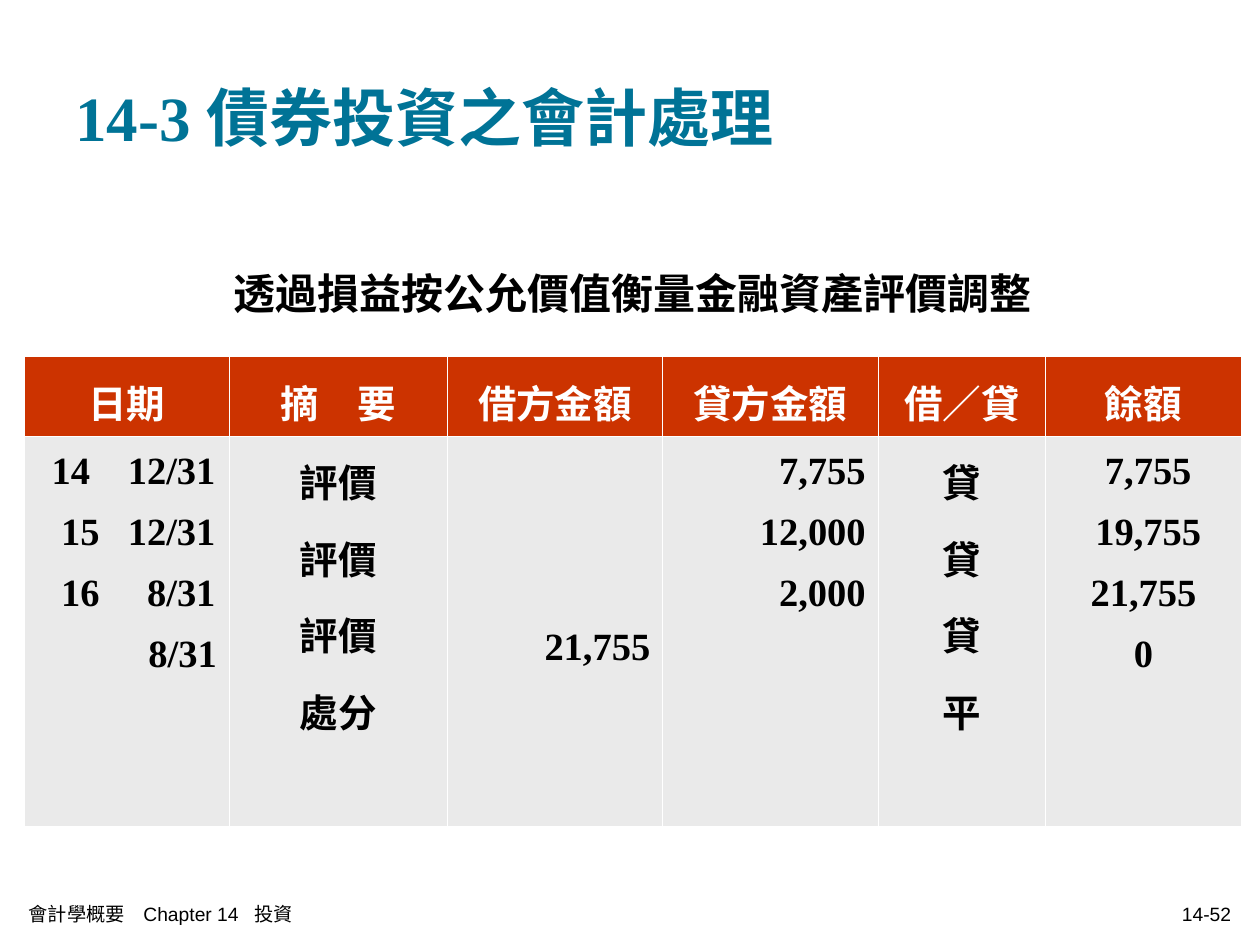
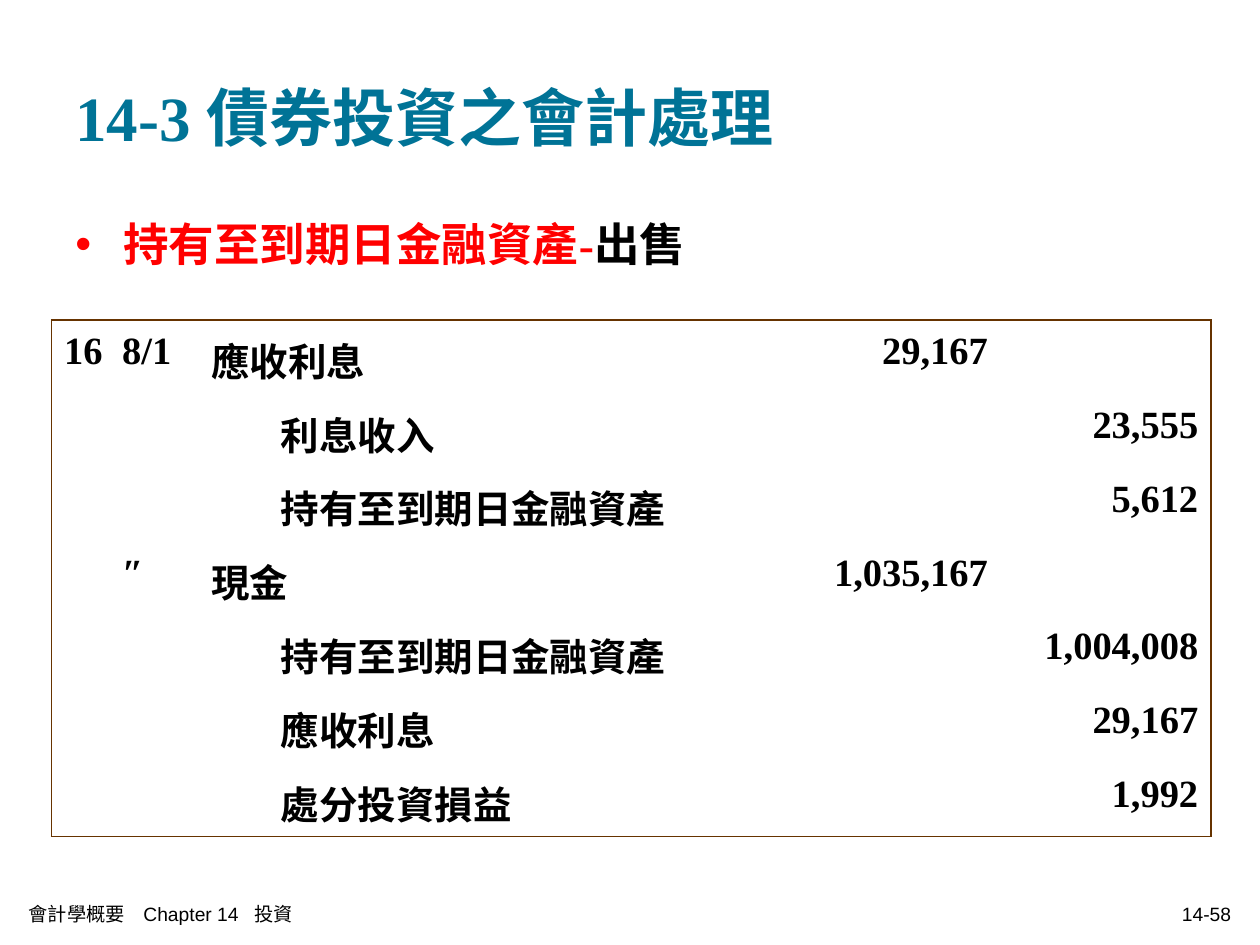
from lxml import etree
from pptx import Presentation
from pptx.dml.color import RGBColor
from pptx.enum.text import MSO_ANCHOR, PP_ALIGN
from pptx.oxml.ns import qn
from pptx.util import Inches, Pt

HUES = {
    "title": "007396", "text": "000000", "white": "FFFFFF", "red": "FF0000",
    "head": "CC3300", "body": "EAEAEA", "frame": "663300",
}
SERIF = "Times New Roman"
LEFT, MID, RIGHT = PP_ALIGN.LEFT, PP_ALIGN.CENTER, PP_ALIGN.RIGHT
CELL = {"name": SERIF, "size": Pt(22), "bold": True}
FOOT = {"name": "Arial", "size": Pt(11), "bold": False}


def apply(item, values):
    for name, value in values.items():
        setattr(item, name, value)


def add_sub(parent, tag, **attrs):
    return etree.SubElement(parent, qn(tag), {k: str(v) for k, v in attrs.items()})


def add_run(para, text, font, hue="text"):
    run = para.add_run()
    run.text = text
    apply(run.font, font)
    run.font.color.rgb = RGBColor.from_string(HUES[hue])


def set_tabs(para, stops):
    """Add tab stops given as (inches, 'l' or 'r')."""
    tabs = add_sub(para._p.get_or_add_pPr(), "a:tabLst")
    for pos, side in stops:
        add_sub(tabs, "a:tab", pos=Inches(pos), algn=side)


def set_bullet(para, mark, hue, hang):
    props = para._p.get_or_add_pPr()
    props.set("marL", str(Inches(hang)))
    props.set("indent", str(-Inches(hang)))
    add_sub(add_sub(props, "a:buClr"), "a:srgbClr", val=HUES[hue])
    add_sub(props, "a:buFont", typeface="Arial")
    add_sub(props, "a:buChar", char=mark)


def add_box(slide, left, top, width, height, anchor=MSO_ANCHOR.MIDDLE):
    """Add a wrapping text box and return its first paragraph."""
    box = slide.shapes.add_textbox(*map(Inches, (left, top, width, height)))
    apply(box.text_frame, {"word_wrap": True, "vertical_anchor": anchor})
    return box.text_frame.paragraphs[0]


def add_page(deck, number):
    """Add a blank slide with the shared title and footers."""
    slide = deck.slides.add_slide(deck.slide_layouts[6])
    title = add_box(slide, 0.5, 0.3, 9, 1.25)
    add_run(title, "14-3 債券投資之會計處理", {**CELL, "size": Pt(36)}, "title")
    book = add_box(slide, 0.13, 7.09, 5.1, 0.33)
    set_tabs(book, [(0.91, "l"), (1.79, "l")])
    add_run(book, "會計學概要\tChapter 14\t投資", FOOT)
    page = add_box(slide, 6.8, 7.09, 3.07, 0.33)
    page.alignment = RIGHT
    add_run(page, number, FOOT)
    return slide


def add_grid(slide, left, top, cols, rows):
    frame = slide.shapes.add_table(
        len(rows), len(cols), Inches(left), Inches(top),
        Inches(sum(cols)), Inches(sum(rows)))
    grid = frame.table
    apply(grid, {"first_row": False, "horz_banding": False})
    for col, width in zip(grid.columns, cols):
        col.width = Inches(width)
    for row, height in zip(grid.rows, rows):
        row.height = Inches(height)
    return grid


def set_edges(cell, sides, hue, width):
    """Draw the sides named by letters and clear the others."""
    props = cell._tc.get_or_add_tcPr()
    for side in "LRTB":
        line = add_sub(props, f"a:ln{side}", w=Pt(width))
        if side in sides:
            add_sub(add_sub(line, "a:solidFill"), "a:srgbClr", val=HUES[hue])
        else:
            add_sub(line, "a:noFill")


def paint(cell, hue=None):
    if hue:
        cell.fill.solid()
        cell.fill.fore_color.rgb = RGBColor.from_string(HUES[hue])
    else:
        cell.fill.background()


def write(cell, lines, align=LEFT, space=1.2, hue="text", size=22, stops=()):
    frame = cell.text_frame
    for i, line in enumerate(lines):
        para = frame.add_paragraph() if i else frame.paragraphs[0]
        side = RIGHT if stops and "\t" not in line else align
        apply(para, {"alignment": side, "line_spacing": space,
                     "space_before": Pt(5.5 if i else 0)})
        if stops:
            set_tabs(para, stops)
        add_run(para, line, {**CELL, "size": Pt(size)}, hue)


def add_ledger(slide):
    heads = ["日期", "摘　要", "借方金額", "貸方金額", "借／貸", "餘額"]
    body = [
        (["14\t12/31", " 15\t12/31", " 16\t8/31", "8/31"], LEFT),
        (["評價", "評價", "評價", "處分"], MID),
        (["21,755"], RIGHT),
        (["7,755", "12,000", "2,000"], RIGHT),
        (["貸", "貸", "貸", "平"], MID),
        ([" 7,755", " 19,755", "21,755", "0"], MID),
    ]
    grid = add_grid(slide, 0.19, 1.69, [1.63, 1.73, 1.71, 1.71, 1.33, 1.55],
                    [1.14, 0.63, 3.1])
    for row, hue in enumerate([None, "head", "body"]):
        for col in range(len(heads)):
            cell = grid.cell(row, col)
            set_edges(cell, "LRTB", "white", 0.45)
            paint(cell, hue)
            if row < 2:
                cell.vertical_anchor = MSO_ANCHOR.MIDDLE
    grid.cell(0, 0).merge(grid.cell(0, len(heads) - 1))
    write(grid.cell(0, 0), ["透過損益按公允價值衡量金融資產評價調整"], MID, size=24)
    grid.cell(2, 0).margin_left = Inches(0.22)
    grid.cell(2, 2).margin_top = Inches(1.44)
    for col, (head, (lines, align)) in enumerate(zip(heads, body)):
        write(grid.cell(1, col), [head], MID, hue="white")
        write(grid.cell(2, col), lines, align, stops=() if col else [(1.3, "r")])


def add_entry(slide):
    """Add the journal entry; credit accounts are set in."""
    entry = [
        ("16\t8/1", "應收利息", "29,167", ""),
        ("", "利息收入", "", "23,555"),
        ("", "持有至到期日金融資產", "", "5,612"),
        ("\t″", "現金", "1,035,167", ""),
        ("", "持有至到期日金融資產", "", "1,004,008"),
        ("", "應收利息", "", "29,167"),
        ("", "處分投資損益", "", "1,992"),
    ]
    count = len(entry)
    grid = add_grid(slide, 0.41, 2.54, [1.17, 4.76, 1.6, 1.67], [4.1 / count] * count)
    for row, texts in enumerate(entry):
        for col, text in enumerate(texts):
            cell = grid.cell(row, col)
            outer = {"L": col == 0, "R": col == 3,
                     "T": row == 0, "B": row == count - 1}
            set_edges(cell, [s for s in outer if outer[s]], "frame", 1.08)
            paint(cell)
            if text:
                write(cell, [text], RIGHT if col > 1 else LEFT, 1.1,
                      stops=() if col else [(0.46, "l")])
        if texts[3]:
            grid.cell(row, 1).margin_left = Inches(0.65)


def add_topic(slide):
    para = add_box(slide, 0.5, 1.58, 9, 0.83, MSO_ANCHOR.TOP)
    para.line_spacing = 1.2
    set_bullet(para, "•", "red", 0.38)
    font = {**CELL, "size": Pt(26)}
    add_run(para, "持有至到期日金融資產-", font, "red")
    add_run(para, "出售", font)


def main():
    deck = Presentation()
    apply(deck, {"slide_width": Inches(10), "slide_height": Inches(7.5)})
    add_ledger(add_page(deck, "14-52"))
    sale = add_page(deck, "14-58")
    add_topic(sale)
    add_entry(sale)
    deck.save("out.pptx")


if __name__ == "__main__":
    main()
